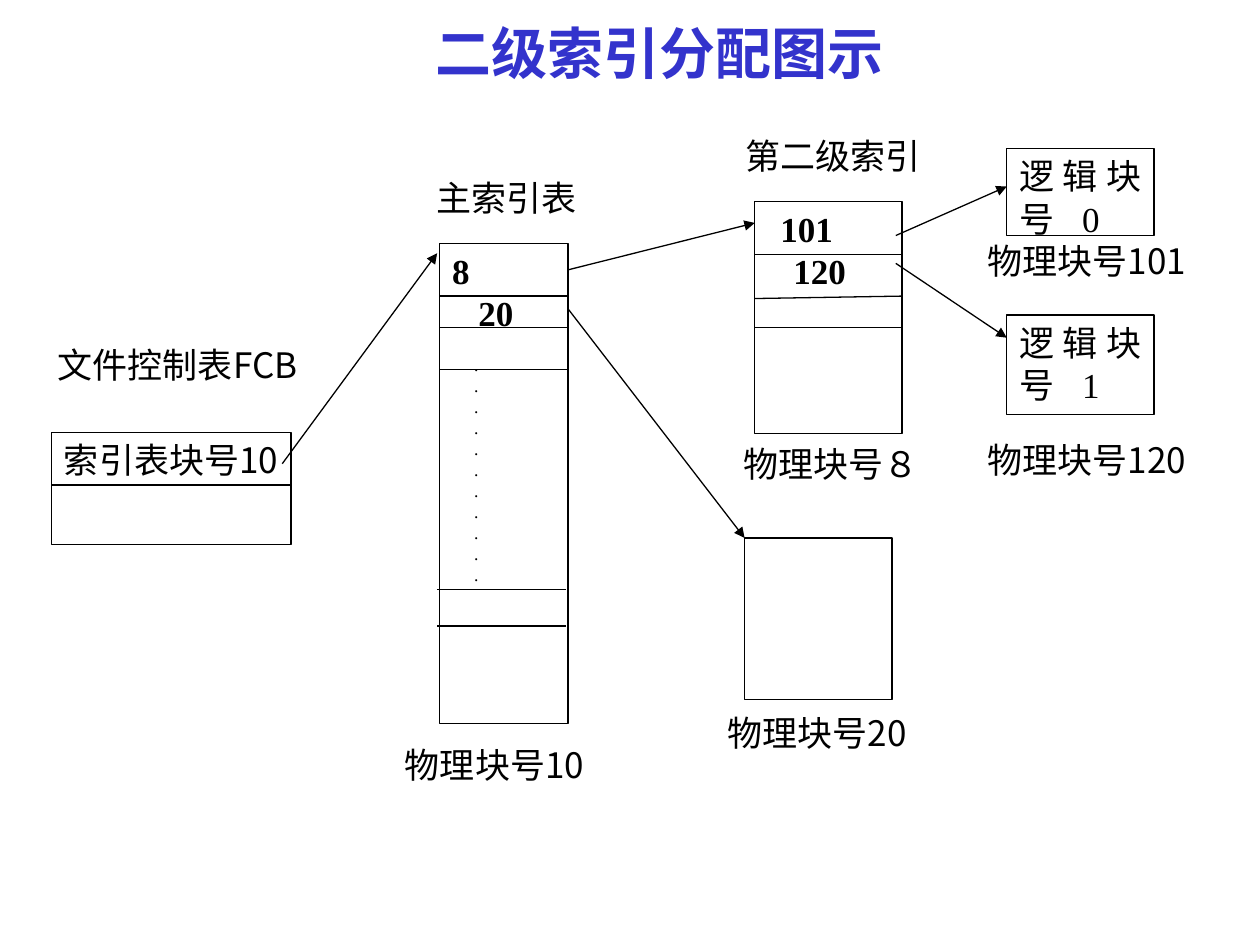
import pptx
import pptx.dml.color
import pptx.enum.shapes
import pptx.enum.text
import pptx.oxml.ns
import pptx.util
from lxml import etree

Pt = pptx.util.Pt
RGB = pptx.dml.color.RGBColor
AL = pptx.enum.text.PP_ALIGN
qn = pptx.oxml.ns.qn


class Theme:
    title = RGB(0x33, 0x33, 0xCC)
    ink = RGB(0, 0, 0)
    paper = RGB(255, 255, 255)
    serif = "Times New Roman"
    cjk = "Noto Sans CJK SC"
    title_size = 32
    body = 20
    dot = 10
    line = 0.75
    leading = 1.2


def write(p, text, size=Theme.body, font=Theme.cjk, color=Theme.ink,
          bold=False, align=AL.LEFT, indent=0, tab=None):
    pPr = p._p.get_or_add_pPr()
    pPr.set("marL", str(Pt(indent)))
    pPr.set("indent", "0")
    if tab:
        tabs = etree.SubElement(pPr, qn("a:tabLst"))
        etree.SubElement(tabs, qn("a:tab"), pos=str(Pt(tab)), algn="l")
    p.text = text
    p.alignment = align
    p.line_spacing = Pt(size * Theme.leading)
    for r in p.runs:
        r.font.name, r.font.size, r.font.bold = font, Pt(size), bold
        r.font.color.rgb = color
        etree.SubElement(r._r.get_or_add_rPr(), qn("a:ea"), typeface=Theme.cjk)


def connect(x1, y1, x2, y2, arrow=False):
    sp = s.shapes.add_connector(pptx.enum.shapes.MSO_CONNECTOR.STRAIGHT,
                                Pt(x1), Pt(y1), Pt(x2), Pt(y2))
    sp.line.color.rgb = Theme.ink
    sp.line.width = Pt(Theme.line)
    if arrow:
        etree.SubElement(sp.line._get_or_add_ln(), qn("a:tailEnd"), type="triangle")
    etree.SubElement(sp._element.spPr, qn("a:effectLst"))


prs = pptx.Presentation()
prs.slide_width, prs.slide_height = Pt(720), Pt(540)
s = prs.slides.add_slide(prs.slide_layouts[6])

# Blocks: position, size
blocks = {
    "data 20": (425.5, 307.4, 84.2, 92.2),
    "second index": (431.3, 115.2, 84.2, 132.5),
    "fcb": (29.5, 247, 136.8, 64),
    "main index": (251.3, 139, 73.4, 274.3),
    "logical 0": (575.3, 85, 84.2, 49.7),
    "logical 1": (575.3, 180, 84.2, 56.9),
}
frames = {}
for name, box in blocks.items():
    sp = s.shapes.add_shape(pptx.enum.shapes.MSO_SHAPE.RECTANGLE, *map(Pt, box))
    sp.shadow.inherit = False
    sp.fill.solid()
    sp.fill.fore_color.rgb = Theme.paper
    sp.line.color.rgb = Theme.ink
    sp.line.width = Pt(Theme.line)
    tf = frames[name] = sp.text_frame
    tf.word_wrap = True
    tf.vertical_anchor = pptx.enum.text.MSO_ANCHOR.TOP

# Block contents
write(frames["fcb"].paragraphs[0], "索引表块号10", align=AL.JUSTIFY)
for n in (0, 1):
    write(frames[f"logical {n}"].paragraphs[0], f"逻辑块号\t{n}",
          font=Theme.serif, align=AL.JUSTIFY, tab=34)
for name, entries in (("second index", (("101", 7.5), ("120", 15))),
                      ("main index", (("8", 0), ("20", 15)))):
    tf = frames[name]
    for i, (text, indent) in enumerate(entries):
        p = tf.add_paragraph() if i else tf.paragraphs[0]
        write(p, text, font=Theme.serif, bold=True, align=AL.JUSTIFY, indent=indent)
for i in range(11):
    p = frames["main index"].add_paragraph()
    write(p, ".", Theme.dot, Theme.serif, align=AL.JUSTIFY, indent=12.5)
    if i == 0:
        p.space_before = Pt(Theme.dot * Theme.leading)

# Row dividers: left, right, then heights at both ends
for x1, x2, rows in (
    (431.3, 515.5, ((145.4, 145.4), (170.6, 169.2), (187.2, 187.2))),
    (29.5, 166.3, ((277.2, 277.2),)),
    (251.3, 324.7, ((169.2, 169.2), (187.2, 187.2), (211, 211))),
    (249.8, 323.3, ((337, 337), (357.8, 357.8))),
):
    for y1, y2 in rows:
        connect(x1, y1, x2, y2)

# Pointers between blocks
for ends in (
    (161.3, 265, 249.8, 144.7),
    (324.7, 154.2, 431.3, 127.4),
    (324.7, 176.6, 425.5, 307.4),
    (511.9, 134.6, 575.3, 106.6),
    (511.9, 150.5, 575.3, 193),
):
    connect(*ends, arrow=True)

# Title and labels: text, box, paragraph options
labels = (
    ("二级索引分配图示", (146.2, 7.2, 461.5, 46.1),
     dict(size=Theme.title_size, font=Theme.serif, color=Theme.title,
          bold=True, align=AL.CENTER)),
    ("物理块号８", (417.6, 249.1, 136.8, 28.1),
     dict(font=Theme.serif, align=AL.JUSTIFY)),
    ("第二级索引", (419, 73.4, 120.2, 31), {}),
    ("主索引表", (239, 97.2, 108, 31), dict(indent=3.5)),
    ("物理块号101", (557.3, 133.2, 149.8, 31), {}),
    ("文件控制表FCB", (11.5, 193, 180, 31), dict(align=AL.CENTER)),
    ("物理块号120", (557.3, 247, 149.8, 31), {}),
    ("物理块号20", (401, 403.2, 131.8, 31), dict(align=AL.CENTER)),
    ("物理块号10", (215.3, 421.2, 149.8, 31), dict(indent=9)),
)
for text, box, options in labels:
    tf = s.shapes.add_textbox(*map(Pt, box)).text_frame
    tf.word_wrap = True
    write(tf.paragraphs[0], text, **options)

prs.save("out.pptx")
